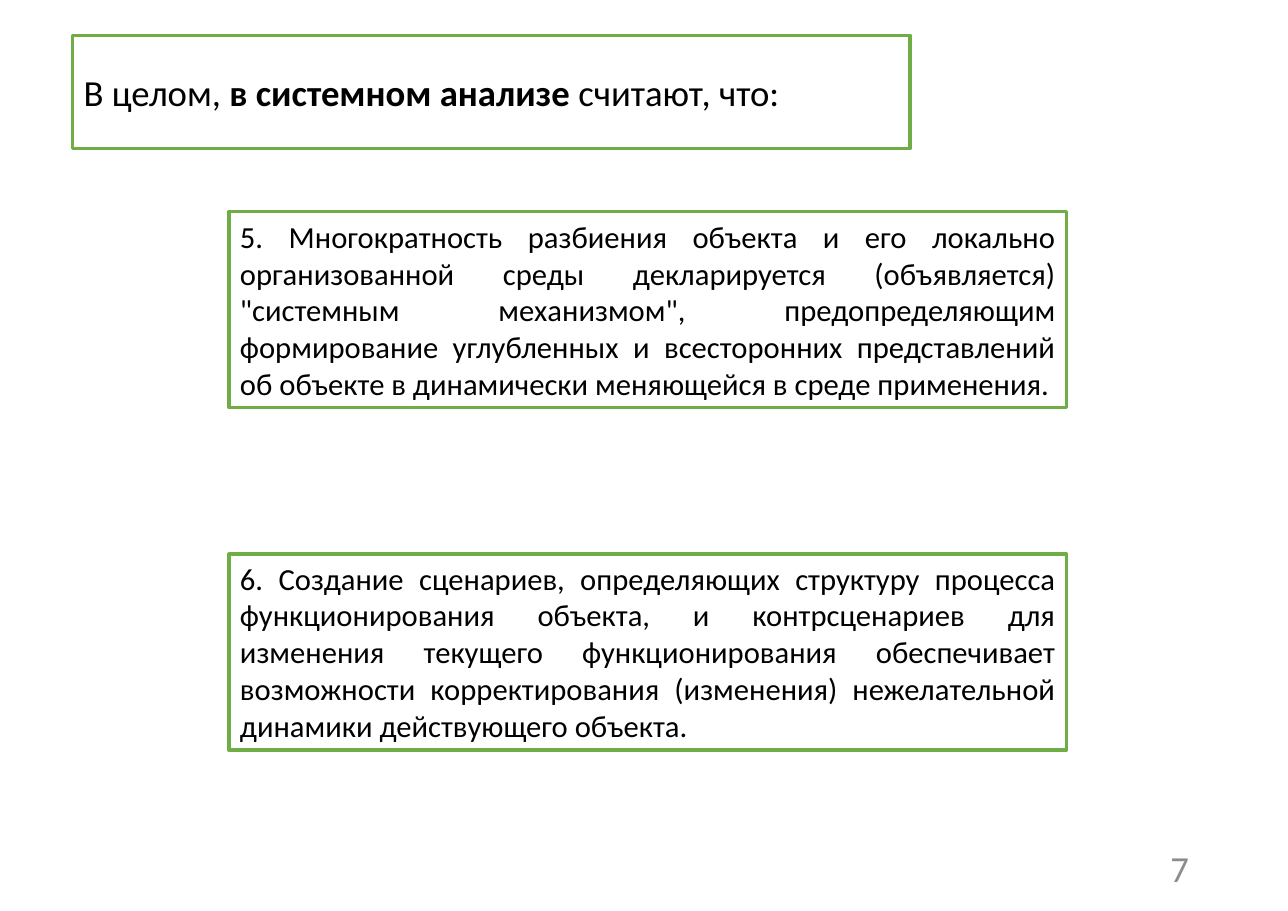
import pptx
import pptx.util
import pptx.dml.color
import pptx.enum.shapes
import pptx.enum.text

Inches = pptx.util.Inches
ALIGN = pptx.enum.text.PP_ALIGN
ANCHOR = pptx.enum.text.MSO_ANCHOR

# Content
HEADING = [("В целом, ", False), ("в системном анализе", True), (" считают, что:", False)]
STATEMENTS = [
    (1.92, ANCHOR.MIDDLE,
     "5. Многократность разбиения объекта и его локально организованной среды "
     "декларируется (объявляется) \"системным механизмом\", предопределяющим "
     "формирование углубленных и всесторонних представлений об объекте в "
     "динамически меняющейся в среде применения."),
    (5.03, ANCHOR.TOP,
     "6. Создание сценариев, определяющих структуру процесса функционирования "
     "объекта, и контрсценариев для изменения текущего функционирования "
     "обеспечивает возможности корректирования (изменения) нежелательной "
     "динамики действующего объекта."),
]
PAGE_NUMBER = "7"
COLORS = {"frame": "70AD47", "text": "000000", "number": "8C8C8C", "paper": "FFFFFF"}
BOX_WIDTH = 7.6


def color(name):
    return pptx.dml.color.RGBColor.from_string(COLORS[name])


def write(shape, runs, size, align, anchor, color_name="text"):
    frame = shape.text_frame
    frame.word_wrap = True
    frame.vertical_anchor = anchor
    paragraph = frame.paragraphs[0]
    paragraph.alignment = align
    paragraph.font.name = "Calibri"
    paragraph.font.size = pptx.util.Pt(size)
    paragraph.font.color.rgb = color(color_name)
    for text, bold in runs:
        run = paragraph.add_run()
        run.text = text
        if bold:
            run.font.bold = True


def add_box(slide, left, top, height, line_width):
    box = slide.shapes.add_shape(
        pptx.enum.shapes.MSO_SHAPE.RECTANGLE,
        Inches(left), Inches(top), Inches(BOX_WIDTH), Inches(height))
    box.shadow.inherit = False
    box.fill.background()
    box.line.color.rgb = color("frame")
    box.line.width = pptx.util.Pt(line_width)
    return box


def main():
    presentation = pptx.Presentation()
    presentation.slide_width = Inches(11.69)
    presentation.slide_height = Inches(8.27)
    slide = presentation.slides.add_slide(presentation.slide_layouts[6])

    # Page number
    number = slide.shapes.add_textbox(Inches(8.26), Inches(7.66), Inches(2.63), Inches(0.44))
    write(number, [(PAGE_NUMBER, False)], 24, ALIGN.RIGHT, ANCHOR.MIDDLE, "number")

    # Heading
    heading = add_box(slide, 0.66, 0.32, 1.03, 2)
    heading.fill.solid()
    heading.fill.fore_color.rgb = color("paper")
    write(heading, HEADING, 24, ALIGN.LEFT, ANCHOR.MIDDLE)

    # Statements
    for top, anchor, text in STATEMENTS:
        box = add_box(slide, 2.08, top, 1.78, 2.25)
        write(box, [(text, False)], 20, ALIGN.JUSTIFY, anchor)
        box.text_frame.auto_size = pptx.enum.text.MSO_AUTO_SIZE.SHAPE_TO_FIT_TEXT

    presentation.save("out.pptx")


if __name__ == "__main__":
    main()
